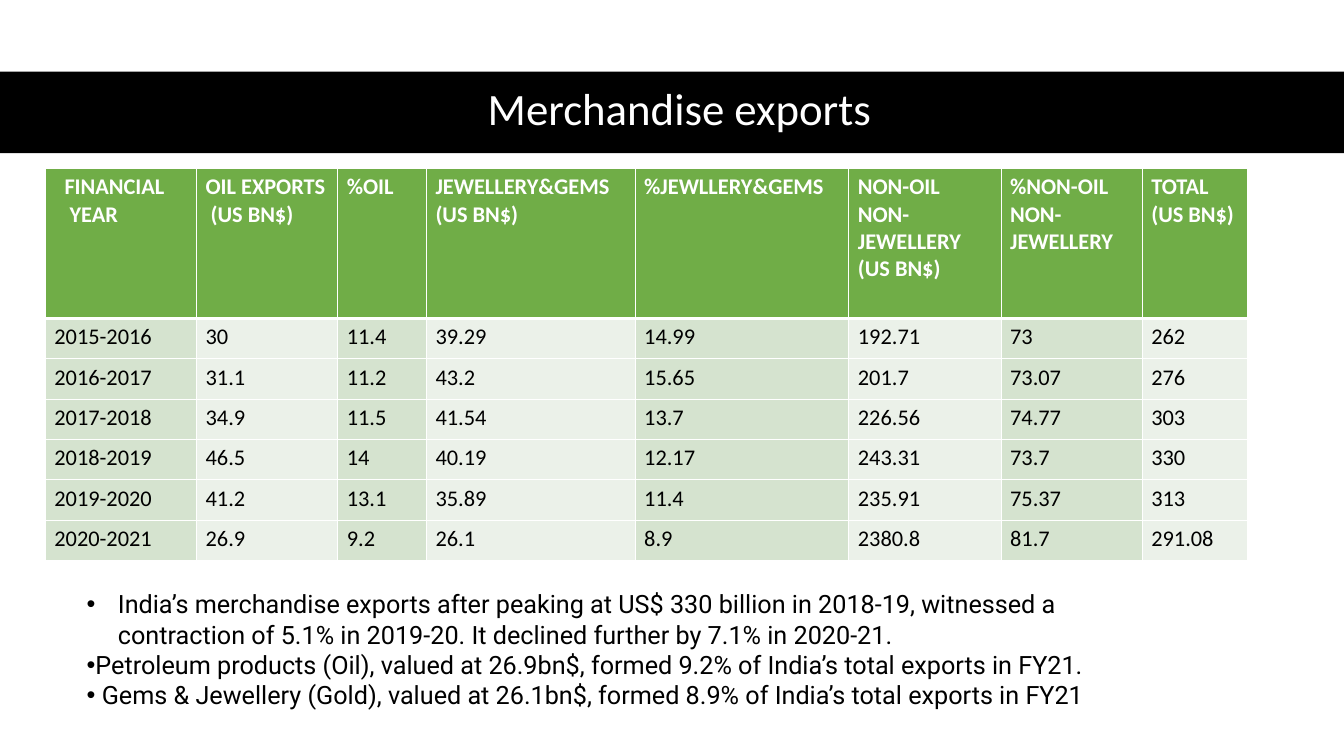
from dataclasses import dataclass

import pptx
import pptx.util
import pptx.dml.color
import pptx.enum.shapes
import pptx.enum.text
import pptx.oxml
import pptx.oxml.ns
from lxml import etree
from pptx.util import Inches


@dataclass(frozen=True)
class Theme:
    black: str = "000000"
    white: str = "FFFFFF"
    header: str = "70AD47"
    odd_column: str = "D5E3CF"
    even_column: str = "EBF1E9"
    main_font: str = "Calibri"
    list_font: str = "Roboto"
    title_size: int = 32
    table_size: int = 16
    list_size: int = 18


@dataclass(frozen=True)
class Box:
    left: float
    top: float
    width: float
    height: float

    def lengths(self):
        return [Inches(v) for v in (self.left, self.top, self.width, self.height)]


THEME = Theme()
COLUMN_WIDTHS = [1.5, 1.4, 0.88, 2.07, 2.12, 1.51, 1.4, 1.04]
HEADER_HEIGHT = 1.49
# Each heading is a list of (text, indent in inches) lines.
HEADINGS = [
    [("FINANCIAL", 0.1), ("YEAR", 0.15)],
    [("OIL EXPORTS", 0), ("(US BN$)", 0.05)],
    [("%OIL", 0)],
    [("JEWELLERY&GEMS", 0), ("(US BN$)", 0)],
    [("%JEWLLERY&GEMS", 0)],
    [("NON-OIL NON-JEWELLERY", 0), ("(US BN$)", 0)],
    [("%NON-OIL NON-JEWELLERY", 0)],
    [("TOTAL", 0), ("(US BN$)", 0)],
]
EXPORTS = [
    ["2015-2016", "30", "11.4", "39.29", "14.99", "192.71", "73", "262"],
    ["2016-2017", "31.1", "11.2", "43.2", "15.65", "201.7", "73.07", "276"],
    ["2017-2018", "34.9", "11.5", "41.54", "13.7", "226.56", "74.77", "303"],
    ["2018-2019", "46.5", "14", "40.19", "12.17", "243.31", "73.7", "330"],
    ["2019-2020", "41.2", "13.1", "35.89", "11.4", "235.91", "75.37", "313"],
    ["2020-2021", "26.9", "9.2", "26.1", "8.9", "2380.8", "81.7", "291.08"],
]
# Each finding is its text and its hanging indent in inches.
FINDINGS = [
    ("India’s merchandise exports after peaking at US$ 330 billion in 2018-19, "
     "witnessed a contraction of 5.1% in 2019-20. "
     "It declined further by 7.1% in 2020-21.", 0.31),
    ("Petroleum products (Oil), valued at 26.9bn$, "
     "formed 9.2% of India’s total exports in FY21.", 0),
    ("Gems & Jewellery (Gold), valued at 26.1bn$, "
     "formed 8.9% of India’s total exports in FY21", 0.15),
]


def rgb(value):
    return pptx.dml.color.RGBColor.from_string(value)


def write(frame, lines, *, size, color, font=THEME.main_font, bold=False,
          align=pptx.enum.text.PP_ALIGN.LEFT, spacing=1.0, bullet=None):
    """Fill a text frame with (text, indent) lines; a bullet hangs in the indent."""
    for index, (text, indent) in enumerate(lines):
        paragraph = frame.paragraphs[0] if index == 0 else frame.add_paragraph()
        paragraph.alignment = align
        paragraph.line_spacing = spacing
        paragraph.space_before = pptx.util.Pt(0)
        properties = paragraph._p.get_or_add_pPr()
        properties.set("marL", str(Inches(indent)))
        properties.set("indent", str(-Inches(indent) if bullet else 0))
        if bullet:
            etree.SubElement(properties, pptx.oxml.ns.qn("a:buFont"), typeface="Arial")
            etree.SubElement(properties, pptx.oxml.ns.qn("a:buChar"), char=bullet)
        run = paragraph.add_run()
        run.text = text
        run.font.name = font
        run.font.size = pptx.util.Pt(size)
        run.font.bold = bold
        run.font.color.rgb = rgb(color)


def place(shape, box):
    shape.left, shape.top, shape.width, shape.height = box.lengths()


def add_title_band(slide, box):
    band = slide.shapes.add_shape(
        pptx.enum.shapes.MSO_SHAPE.RECTANGLE, *box.lengths())
    band.shadow.inherit = False
    band.fill.solid()
    band.fill.fore_color.rgb = rgb(THEME.black)
    band.line.fill.background()
    title = slide.shapes.title
    title.element.addprevious(band.element)
    place(title, Box(box.left + 0.61, box.top - 0.01, 12.26, box.height))
    title.text_frame.vertical_anchor = pptx.enum.text.MSO_ANCHOR.MIDDLE
    write(title.text_frame, [("Merchandise exports", 0)], size=THEME.title_size,
          color=THEME.white, align=pptx.enum.text.PP_ALIGN.CENTER, spacing=0.9)


def set_borders(cell, **widths):
    """Draw white borders; widths in points, keyed L, R, T and B in that order."""
    properties = cell._tc.get_or_add_tcPr()
    for side, width in widths.items():
        line = etree.SubElement(properties, pptx.oxml.ns.qn(f"a:ln{side}"),
                                w=str(pptx.util.Pt(width)))
        fill = etree.SubElement(line, pptx.oxml.ns.qn("a:solidFill"))
        etree.SubElement(fill, pptx.oxml.ns.qn("a:srgbClr"), val=THEME.white)


def add_exports_table(slide, box):
    rows = [HEADINGS] + [[[(value, 0)] for value in year] for year in EXPORTS]
    table = slide.shapes.add_table(
        len(rows), len(COLUMN_WIDTHS), *box.lengths()).table
    table.horz_banding = False
    for column, width in zip(table.columns, COLUMN_WIDTHS):
        column.width = Inches(width)
    year_height = (box.height - HEADER_HEIGHT) / len(EXPORTS)
    for r, row in enumerate(rows):
        is_header = r == 0
        table.rows[r].height = Inches(HEADER_HEIGHT if is_header else year_height)
        for c, lines in enumerate(row):
            cell = table.cell(r, c)
            cell.margin_left = cell.margin_right = Inches(0.09)
            cell.margin_top = cell.margin_bottom = Inches(0.05)
            set_borders(cell, L=1, R=1, T=3 if r == 1 else 1, B=3 if is_header else 1)
            column_fill = THEME.even_column if c % 2 else THEME.odd_column
            cell.fill.solid()
            cell.fill.fore_color.rgb = rgb(THEME.header if is_header else column_fill)
            write(cell.text_frame, lines, size=THEME.table_size, bold=is_header,
                  color=THEME.white if is_header else THEME.black)


def add_findings(slide, box):
    findings = slide.placeholders[1]
    place(findings, box)
    frame = findings.text_frame
    frame.word_wrap = True
    frame.auto_size = pptx.enum.text.MSO_AUTO_SIZE.SHAPE_TO_FIT_TEXT
    frame.vertical_anchor = pptx.enum.text.MSO_ANCHOR.TOP
    write(frame, FINDINGS, size=THEME.list_size, color=THEME.black,
          font=THEME.list_font, bullet="•")


def main():
    deck = pptx.Presentation()
    deck.slide_width, deck.slide_height = Inches(13.33), Inches(7.5)
    slide = deck.slides.add_slide(deck.slide_layouts[1])
    add_title_band(slide, Box(0, 0.71, 13.33, 0.81))
    add_exports_table(slide, Box(0.45, 1.67, sum(COLUMN_WIDTHS), 3.89))
    add_findings(slide, Box(0.76, 5.79, 10.46, 1.62))
    deck.save("out.pptx")


if __name__ == "__main__":
    main()
